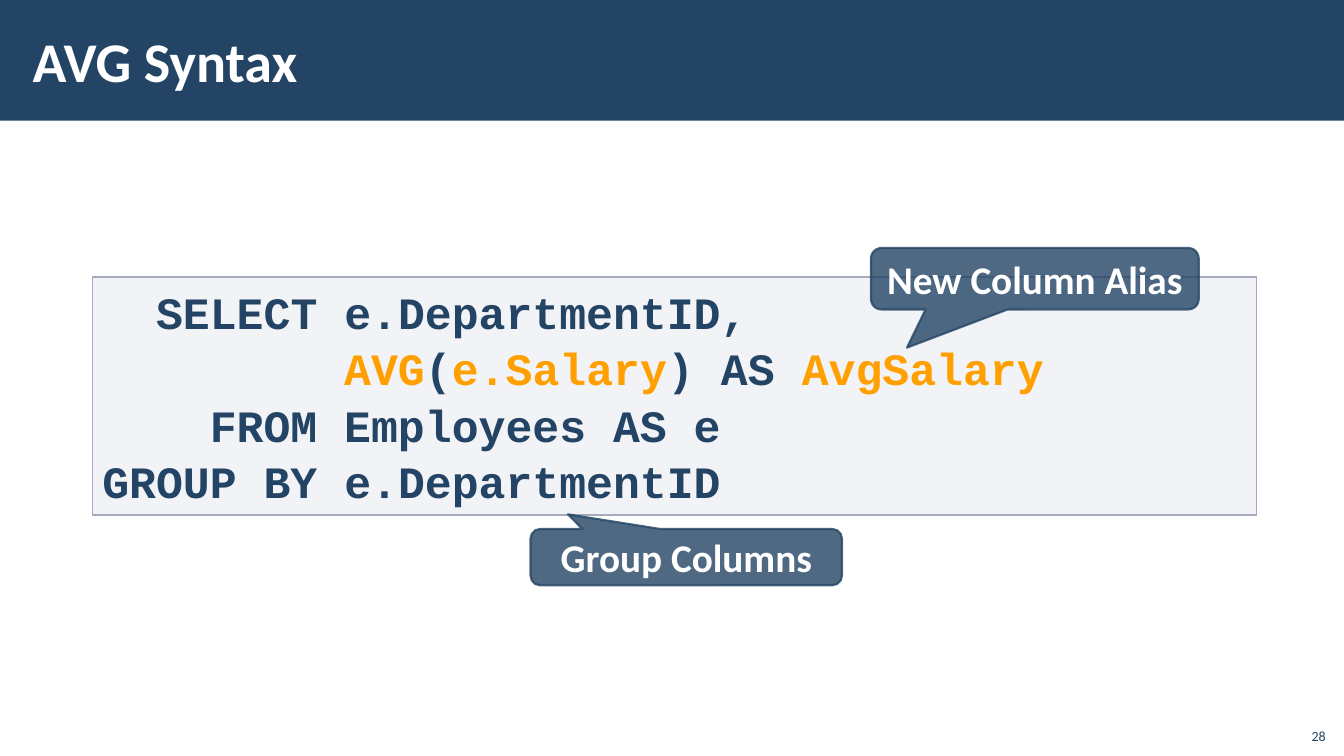
from dataclasses import dataclass
from pptx import Presentation
from pptx.dml.color import RGBColor
from pptx.enum.shapes import MSO_SHAPE
from pptx.enum.text import MSO_ANCHOR, PP_ALIGN
from pptx.oxml.ns import qn
from pptx.oxml.xmlchemy import OxmlElement
from pptx.util import Cm, Pt


@dataclass
class Theme:
    navy: str = "234465"
    white: str = "FFFFFF"
    gold: str = "FFA000"
    panel: str = "C2C7D2"
    edge: str = "A3ABBC"
    sans: str = "Calibri"
    mono: str = "Courier New"
    head: int = 40
    code: int = 32
    note: int = 28
    foot: int = 10


look = Theme()
TITLE = "AVG Syntax"
NUMBER = "28"
QUERY = [
    (2, [("SELECT e.DepartmentID,", look.navy)]),
    (9, [("AVG", look.gold), ("(", look.navy), ("e.Salary", look.gold),
         (") AS ", look.navy), ("AvgSalary", look.gold)]),
    (4, [("FROM Employees AS e", look.navy)]),
    (0, [("GROUP BY e.DepartmentID", look.navy)]),
]
NOTES = [
    ("Group Columns", (13.37, 13.33, 7.85, 1.42), (-0.38, -0.76, 0.17)),
    ("New Column Alias", (21.95, 6.25, 8.26, 1.55), (-0.39, 1.12, 0.17)),
]
WIDE, HIGH = 33.87, 19.05


def box(place):
    return [Cm(n) for n in place]


def write(para, text, font=look.sans, size=look.note, color=look.white,
          bold=True, align=PP_ALIGN.LEFT):
    run = para.add_run()
    run.text = text
    run.font.name = font
    run.font.size = Pt(size)
    run.font.bold = bold
    run.font.color.rgb = RGBColor.from_string(color)
    para.alignment = align


def fade(color, share):
    alpha = OxmlElement("a:alpha")
    alpha.set("val", str(share * 1000))
    color.append(alpha)


def block(slide, kind, place, fill, line=None, width=1, clear=100, rim=100):
    shape = slide.shapes.add_shape(kind, *box(place))
    shape.shadow.inherit = False
    shape.fill.solid()
    shape.fill.fore_color.rgb = RGBColor.from_string(fill)
    if line:
        shape.line.color.rgb = RGBColor.from_string(line)
        shape.line.width = Pt(width)
    else:
        shape.line.fill.background()
    tints = shape._element.spPr.iter(qn("a:srgbClr"))
    for tint, share in zip(list(tints), (clear, rim)):
        if share < 100:
            fade(tint, share)
    return shape


def draw_head(slide):
    band = block(slide, MSO_SHAPE.RECTANGLE, (0, 0, WIDE, 3.04), look.navy)
    slide.shapes._spTree.insert(2, band._element)
    title = slide.shapes.title
    title.left, title.top, title.width, title.height = box((0.52, 0.28, 27, 2.46))
    frame = title.text_frame
    frame.vertical_anchor = MSO_ANCHOR.MIDDLE
    frame.margin_left = frame.margin_right = Cm(0.3)
    frame.margin_top = frame.margin_bottom = Cm(0.1)
    write(frame.paragraphs[0], TITLE, size=look.head)


def draw_query(slide):
    panel = block(slide, MSO_SHAPE.RECTANGLE, (2.33, 6.98, 29.33, 6),
                  look.panel, look.edge, clear=20)
    frame = panel.text_frame
    frame.vertical_anchor = MSO_ANCHOR.TOP
    step = Pt(look.code * 0.6)
    for row, (indent, parts) in enumerate(QUERY):
        para = frame.add_paragraph() if row else frame.paragraphs[0]
        para.line_spacing = 1.05
        para._p.get_or_add_pPr().set("marL", str(indent * step))
        for text, color in parts:
            write(para, text, font=look.mono, size=look.code, color=color)


def draw_notes(slide):
    for text, place, bends in NOTES:
        note = block(slide, MSO_SHAPE.ROUNDED_RECTANGULAR_CALLOUT, place,
                     look.navy, look.navy, 1.5, 80, 80)
        for slot, bend in enumerate(bends):
            note.adjustments[slot] = bend
        frame = note.text_frame
        frame.vertical_anchor = MSO_ANCHOR.MIDDLE
        write(frame.paragraphs[0], text, align=PP_ALIGN.CENTER)


def draw_foot(slide):
    frame = slide.shapes.add_textbox(*box((32.64, 18.08, 1.02, 0.81))).text_frame
    frame.word_wrap = True
    frame.vertical_anchor = MSO_ANCHOR.BOTTOM
    write(frame.paragraphs[0], NUMBER, size=look.foot, color=look.navy,
          bold=False, align=PP_ALIGN.RIGHT)


def main():
    deck = Presentation()
    deck.slide_width, deck.slide_height = Cm(WIDE), Cm(HIGH)
    slide = deck.slides.add_slide(deck.slide_layouts[5])
    draw_head(slide)
    draw_query(slide)
    draw_notes(slide)
    draw_foot(slide)
    deck.save("out.pptx")


if __name__ == "__main__":
    main()
